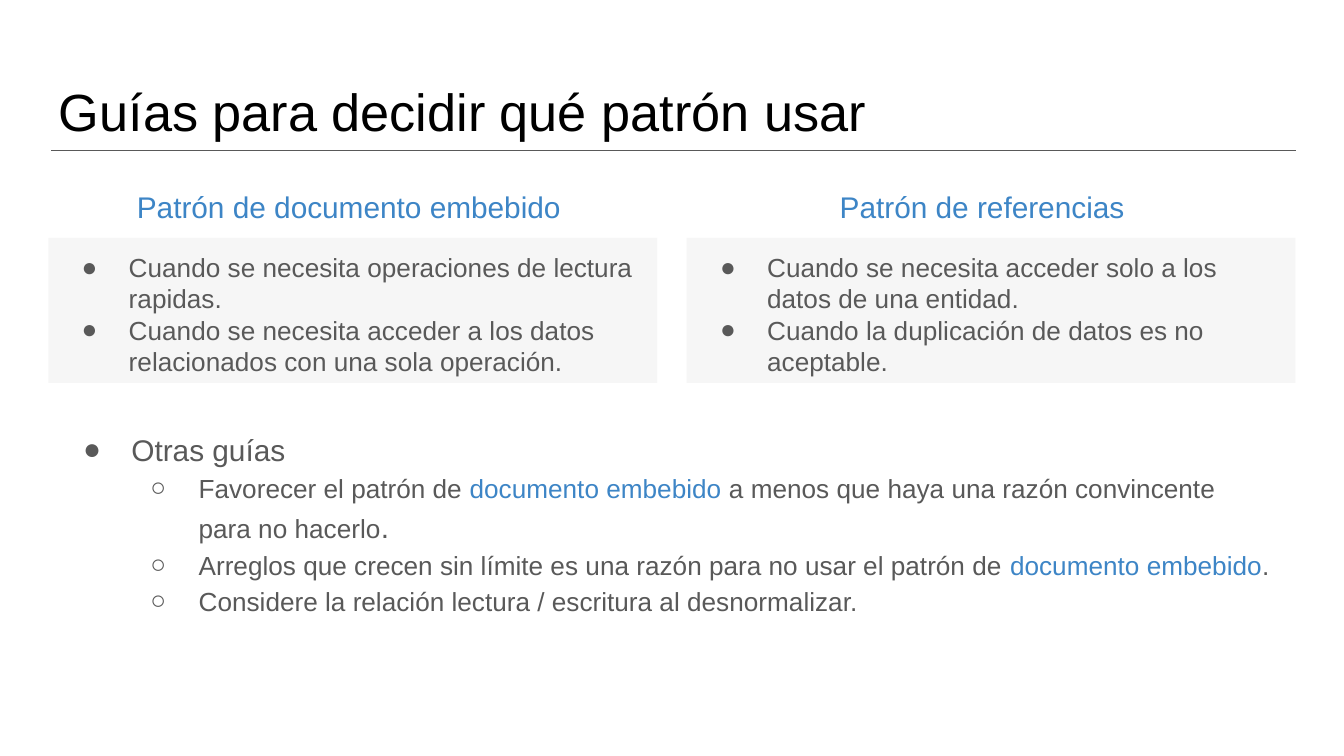
import pptx
import pptx.dml.color
import pptx.enum.shapes
import pptx.enum.text
import pptx.oxml
import pptx.oxml.ns
import pptx.util
from lxml import etree

COLORS = {"title": "000000", "body": "595959", "accent": "3D85C6", "card": "F6F6F6"}
COLUMNS, ROWS = 100, 56.25  # grid cells of a tenth of an inch
INSET = 0.1
ANCHOR = pptx.enum.text.MSO_ANCHOR


def rgb(name):
    return pptx.dml.color.RGBColor.from_string(COLORS[name])


class SlideBuilder:
    """Holds the style and the current slide; lengths are grid columns and rows."""

    font = "Arial"

    def __init__(self, presentation):
        self.column = presentation.slide_width / COLUMNS
        self.row = presentation.slide_height / ROWS
        self.slide = presentation.slides.add_slide(presentation.slide_layouts[6])

    def place(self, left, top, width, height):
        return (round(left * self.column), round(top * self.row),
                round(width * self.column), round(height * self.row))

    def frame(self, shape, anchor):
        text_frame = shape.text_frame
        text_frame.word_wrap = True
        text_frame.vertical_anchor = anchor
        for side in ("left", "right", "top", "bottom"):
            setattr(text_frame, "margin_" + side, pptx.util.Inches(INSET))
        return text_frame

    def style(self, run, size, color):
        run.font.name = self.font
        run.font.size = pptx.util.Pt(size)
        run.font.color.rgb = rgb(color)

    def text_box(self, box, anchor=ANCHOR.TOP):
        shape = self.slide.shapes.add_textbox(*self.place(*box))
        return self.frame(shape, anchor)

    def label(self, text, box, size, color, anchor=ANCHOR.TOP):
        text_frame = self.text_box(box, anchor)
        text_frame.text = text
        self.style(text_frame.paragraphs[0].runs[0], size, color)

    def rule(self, left, right, top):
        x1, y, width, _ = self.place(left, top, right - left, 0)
        line = self.slide.shapes.add_connector(
            pptx.enum.shapes.MSO_CONNECTOR.STRAIGHT, x1, y, x1 + width, y)
        line.line.color.rgb = rgb("body")
        line.line.width = pptx.util.Pt(0.75)
        etree.SubElement(line._element.spPr, pptx.oxml.ns.qn("a:effectLst"))

    def bullet(self, paragraph, parts, level=0, hanging=0.35, spacing=None):
        """Parts are (text, size, color) runs."""
        paragraph.level = level
        paragraph.alignment = pptx.enum.text.PP_ALIGN.LEFT
        if spacing:
            paragraph.line_spacing = spacing
        for text, size, color in parts:
            run = paragraph.add_run()
            run.text = text
            self.style(run, size, color)
        properties = paragraph._p.get_or_add_pPr()
        properties.set("marL", str(pptx.util.Inches(0.5 * (level + 1))))
        properties.set("indent", str(-pptx.util.Inches(hanging)))
        color = etree.SubElement(properties, pptx.oxml.ns.qn("a:buClr"))
        etree.SubElement(color, pptx.oxml.ns.qn("a:srgbClr"), val=COLORS["body"])
        etree.SubElement(properties, pptx.oxml.ns.qn("a:buFont"), typeface=self.font)
        etree.SubElement(properties, pptx.oxml.ns.qn("a:buChar"), char="●○"[level])

    def bullets(self, text_frame, items, **options):
        """Items are (level, parts) pairs."""
        for index, (level, parts) in enumerate(items):
            paragraph = text_frame.add_paragraph() if index else text_frame.paragraphs[0]
            self.bullet(paragraph, parts, level, **options)

    def card(self, box, texts):
        shape = self.slide.shapes.add_shape(
            pptx.enum.shapes.MSO_SHAPE.RECTANGLE, *self.place(*box))
        shape.shadow.inherit = False
        shape.fill.solid()
        shape.fill.fore_color.rgb = rgb("card")
        shape.line.fill.background()
        items = [(0, [(text, 14, "body")]) for text in texts]
        self.bullets(self.frame(shape, ANCHOR.TOP), items)


def main():
    presentation = pptx.Presentation()
    presentation.slide_width = pptx.util.Inches(10)
    presentation.slide_height = presentation.slide_width * 9 // 16
    builder = SlideBuilder(presentation)

    # Title and rule
    builder.label("Guías para decidir qué patrón usar", (3.4, 4.9, 93.2, 6.3), 28, "title")
    builder.rule(3.8, 96.4, 11.2)

    # Two patterns: heading (indent and width in columns) above a card
    patterns = [
        ("Patrón de documento embebido", 5.6, 34.9, [
            "Cuando se necesita operaciones de lectura rapidas.",
            "Cuando se necesita acceder a los datos relacionados con una sola operación."]),
        ("Patrón de referencias", 10.4, 25, [
            "Cuando se necesita acceder solo a los datos de una entidad.",
            "Cuando la duplicación de datos es no aceptable."]),
    ]
    card_width, gap = 45.3, 2.2
    for index, (heading, indent, width, texts) in enumerate(patterns):
        left = 3.6 + index * (card_width + gap)
        builder.card((left, 17.7, card_width, 10.8), texts)
        builder.label(heading, (left + indent, 13, width, 4.7), 16, "accent", ANCHOR.MIDDLE)

    # Other guidelines
    embedded = ("documento embebido", 14, "accent")
    guidelines = [
        (0, [("Otras guías", 16, "body")]),
        (1, [("Favorecer el patrón de ", 14, "body"), embedded,
             (" a menos que haya una razón convincente para no hacerlo", 14, "body"),
             (".", 16, "body")]),
        (1, [("Arreglos que crecen sin límite es una razón para no usar el patrón de ",
              14, "body"), embedded, (".", 14, "body")]),
        (1, [("Considere la relación lectura / escritura al desnormalizar.", 14, "body")]),
    ]
    builder.bullets(builder.text_box((3.8, 30.7, 91.7, 17.1)), guidelines,
                    hanging=0.36, spacing=1.15)

    presentation.save("out.pptx")


if __name__ == "__main__":
    main()
